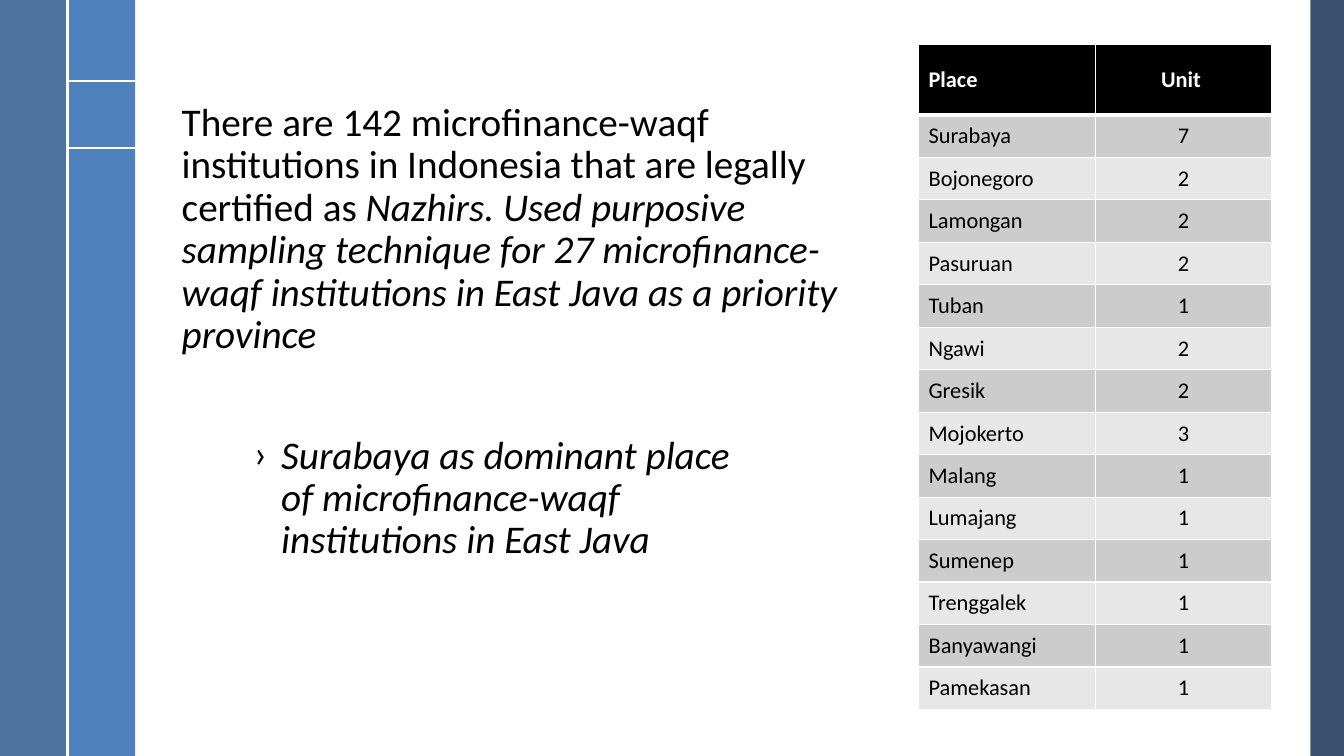
"""Build the slide on microfinance-waqf institutions in East Java."""
from lxml import etree
from pptx import Presentation
from pptx.dml.color import RGBColor
from pptx.enum import shapes as es, text as et
from pptx.oxml import ns
from pptx.util import Pt

INK = {"navy": "254061", "blue": "4F81BD", "steel": "376092", "white": "FFFFFF",
       "black": "000000", "dark": "CCCCCC", "light": "E7E7E7"}
FONT = "Calibri"
WIDE, HIGH = 960, 540
BAND = 48.25
BARS = [(936, 24, "navy", 90), (BAND, BAND, "blue", 100), (0, BAND, "steel", 88)]
LINES = [(BAND, 58, 2 * BAND, 58), (BAND, 106, 2 * BAND, 106), (BAND, 0, BAND, HIGH)]
LEAD = [("There are 142 microfinance-waqf institutions in Indonesia that are "
         "legally certified as ", False),
        ("Nazhirs. Used purposive sampling technique for 27 microfinance-waqf "
         "institutions in East Java as a priority province", True)]
POINT = [("Surabaya as dominant place of microfinance-waqf institutions in East Java", True)]
ROWS = [("Place", "Unit "), ("Surabaya", 7), ("Bojonegoro", 2), ("Lamongan", 2),
        ("Pasuruan", 2), ("Tuban", 1), ("Ngawi", 2), ("Gresik", 2), ("Mojokerto", 3),
        ("Malang", 1), ("Lumajang", 1), ("Sumenep", 1), ("Trenggalek", 1),
        ("Banyawangi", 1), ("Pamekasan", 1)]
GRID = (656.1, 31.7, 252.4, 475.2)
HEAD = 50.4


def tint(name):
    return RGBColor.from_string(INK[name])


def add(node, tag, **attrs):
    return etree.SubElement(node, ns.qn(tag), attrs)


def style(run, size, color, bold=False, italic=False):
    font = run.font
    font.name, font.size, font.bold, font.italic = FONT, Pt(size), bold, italic
    font.color.rgb = tint(color)


def draw_bar(slide, left, wide, color, alpha):
    bar = slide.shapes.add_shape(es.MSO_SHAPE.RECTANGLE, Pt(left), 0, Pt(wide), Pt(HIGH))
    bar.shadow.inherit = False
    bar.line.fill.background()
    bar.fill.solid()
    bar.fill.fore_color.rgb = tint(color)
    if alpha < 100:
        node = bar.element.spPr.find(ns.qn("a:solidFill"))[0]
        add(node, "a:alpha", val=str(alpha * 1000))


def draw_line(slide, ends):
    line = slide.shapes.add_connector(es.MSO_CONNECTOR.STRAIGHT, *map(Pt, ends))
    line.line.color.rgb = tint("white")
    line.line.width = Pt(1.5)
    add(line.element.spPr, "a:effectLst")


def fill_text(shape, box, parts, anchor, bullet=None):
    shape.left, shape.top, shape.width, shape.height = map(Pt, box)
    frame = shape.text_frame
    frame.word_wrap = True
    frame.auto_size = et.MSO_AUTO_SIZE.NONE
    frame.vertical_anchor = anchor
    para = frame.paragraphs[0]
    para.alignment = et.PP_ALIGN.LEFT
    para.line_spacing = 0.9
    para.space_before = Pt(0)
    if bullet:
        props = para._p.get_or_add_pPr()
        props.set("marL", str(Pt(19.5)))
        props.set("indent", str(-Pt(19.5)))
        add(props, "a:buFont", typeface=FONT)
        add(props, "a:buChar", char=bullet)
    for words, italic in parts:
        run = para.add_run()
        run.text = words
        style(run, 28, "black", italic=italic)


def edge(cell, sides):
    props = cell._tc.get_or_add_tcPr()
    for side, width in sides:
        line = add(props, f"a:ln{side}", w=str(Pt(width)))
        add(add(line, "a:solidFill"), "a:srgbClr", val=INK["white"])


def draw_table(slide):
    table = slide.shapes.add_table(len(ROWS), 2, *map(Pt, GRID)).table
    step = (GRID[3] - HEAD) / (len(ROWS) - 1)
    for r, row in enumerate(ROWS):
        table.rows[r].height = Pt(step if r else HEAD)
        shade = ("light", "dark")[r % 2] if r else "black"
        for c, value in enumerate(row):
            cell = table.cell(r, c)
            cell.text = str(value)
            cell.vertical_anchor = et.MSO_ANCHOR.MIDDLE
            edge(cell, [("L", 1), ("R", 1), ("T", 3 if r == 1 else 1), ("B", 1 if r else 3)])
            cell.fill.solid()
            cell.fill.fore_color.rgb = tint(shade)
            para = cell.text_frame.paragraphs[0]
            para.alignment = et.PP_ALIGN.CENTER if c else et.PP_ALIGN.LEFT
            style(para.runs[0], 16, "black" if r else "white", bold=r == 0)


def main():
    deck = Presentation()
    deck.slide_width, deck.slide_height = Pt(WIDE), Pt(HIGH)
    slide = deck.slides.add_slide(deck.slide_layouts[1])
    for bar in BARS:
        draw_bar(slide, *bar)
    for ends in LINES:
        draw_line(slide, ends)
    fill_text(slide.shapes.title, (122.6, 114.5, 504.7, 144), LEAD, et.MSO_ANCHOR.BOTTOM)
    draw_table(slide)
    fill_text(slide.placeholders[1], (174.2, 307.4, 379.4, 144), POINT,
              et.MSO_ANCHOR.TOP, "›")
    deck.save("out.pptx")


if __name__ == "__main__":
    main()
